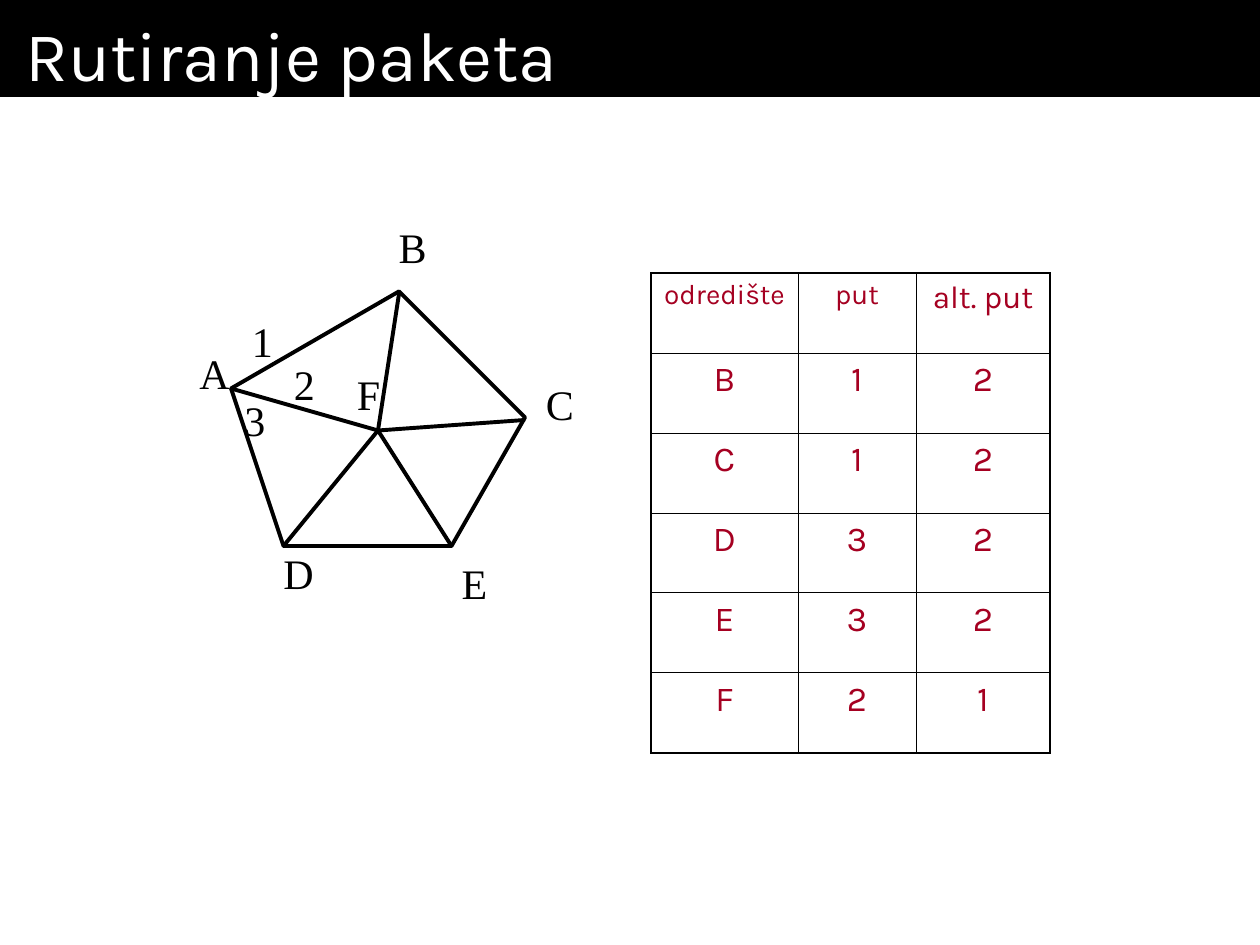
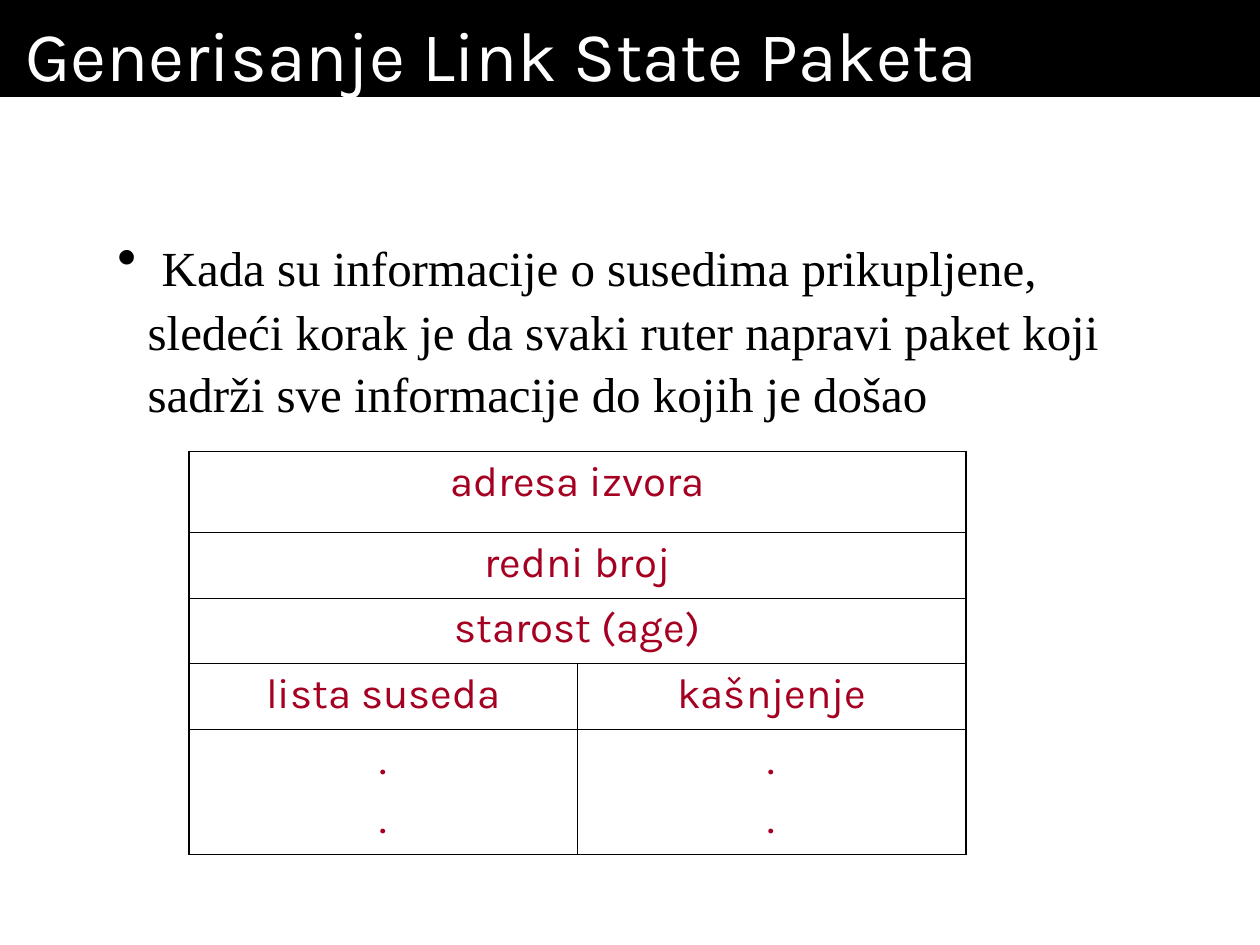
from lxml import etree
from pptx import Presentation
from pptx.dml.color import RGBColor
from pptx.enum.shapes import MSO_CONNECTOR
from pptx.enum.text import MSO_ANCHOR, MSO_AUTO_SIZE, PP_ALIGN
from pptx.oxml.ns import qn
from pptx.util import Inches, Pt

LEFT, CENTER = PP_ALIGN.LEFT, PP_ALIGN.CENTER
TOP, FIXED = MSO_ANCHOR.TOP, MSO_AUTO_SIZE.NONE
STRAIGHT = MSO_CONNECTOR.STRAIGHT

COLORS = {"band": "000000", "title": "FFFFFF", "ink": "000000", "cell": "A50021"}
RGB = {name: RGBColor.from_string(code) for name, code in COLORS.items()}
SANS, SERIF = "Karla", "Times New Roman"
THICK, THIN, EDGE = Pt(1.08), Pt(0.45), Pt(2.25)
UNIT = Inches(1) / 12  # the grid has twelve units to the inch


def write(frame, text, size, face, color, align=LEFT, gap=0):
    """Fill a text frame, one paragraph for each line of text."""
    style = {"name": face, "size": Pt(size), "color": RGB[color]}
    for i, line in enumerate(text.split("\n")):
        par = frame.paragraphs[0] if i == 0 else frame.add_paragraph()
        par.alignment = align
        if i:
            par.space_before = Pt(gap)
        run = par.add_run()
        run.text = line
        for key, val in style.items():
            if key == "color":
                run.font.color.rgb = val
            else:
                setattr(run.font, key, val)


def grid(slide, left, top, cols, rows, data):
    """Add a table with thick outer and thin inner borders."""
    wide, high = len(cols), len(rows)
    box = [round(n * UNIT) for n in (left, top, sum(cols), sum(rows))]
    table = slide.shapes.add_table(high, wide, *box).table
    table.first_row = table.horz_banding = False
    for col, n in zip(table.columns, cols):
        col.width = round(n * UNIT)
    for row, n in zip(table.rows, rows):
        row.height = round(n * UNIT)
    for r, (texts, sizes) in enumerate(data):
        span = wide // len(texts)
        for c, (text, size) in enumerate(zip(texts, sizes)):
            cell = table.cell(r, c)
            if span > 1:
                cell.merge(table.cell(r, c + span - 1))
            write(cell.text_frame, text, size, SANS, "cell", CENTER, gap=6)
            cell.fill.background()
            outer = {"L": c == 0, "R": c + span == wide,
                     "T": r == 0, "B": r == high - 1}
            props = cell._tc.get_or_add_tcPr()
            for i, (side, rim) in enumerate(outer.items()):
                line = etree.Element(qn("a:ln" + side), w=str(THICK if rim else THIN))
                fill = etree.SubElement(line, qn("a:solidFill"))
                etree.SubElement(fill, qn("a:srgbClr"), val=COLORS["ink"])
                props.insert(i, line)


deck = Presentation()
deck.slide_width, deck.slide_height = Inches(10), Inches(7.5)

# Title bands
slides = []
for text in ("Rutiranje paketa", "Generisanje Link State Paketa"):
    slide = deck.slides.add_slide(deck.slide_layouts[5])
    title = slide.shapes.title
    place = {"left": 0, "top": 0, "width": deck.slide_width, "height": Inches(0.77)}
    for key, val in place.items():
        setattr(title, key, val)
    title.fill.solid()
    title.fill.fore_color.rgb = RGB["band"]
    form = {"margin_left": Inches(0.2), "margin_right": Inches(0.2),
            "margin_top": Inches(0.09), "margin_bottom": 0,
            "vertical_anchor": TOP, "auto_size": FIXED, "word_wrap": True}
    for key, val in form.items():
        setattr(title.text_frame, key, val)
    write(title.text_frame, text, 40, SANS, "title")
    slides.append(slide)
route, packet = slides

# Network: outer ring
ring = [(22, 37), (38, 27.75), (50, 39.75), (43, 52), (27, 52)]
path = [(round(x * UNIT), round(y * UNIT)) for x, y in ring]
pen = route.shapes.build_freeform(*path[0])
pen.add_line_segments(path[1:], close=True)
shape = pen.convert_to_shape()
shape.shadow.inherit = False
shape.fill.background()
shape.line.color.rgb = RGB["ink"]
shape.line.width = EDGE

# Network: spokes from the hub
hub = (36, 41)
for tip in ((22, 37), (27, 52), (38, 28), (50, 40), (43, 52)):
    ends = [round(n * UNIT) for n in hub + tip]
    spoke = route.shapes.add_connector(STRAIGHT, *ends)
    spoke.line.color.rgb = RGB["ink"]
    spoke.line.width = EDGE
    etree.SubElement(spoke._element.spPr, qn("a:effectLst"))

# Network: node and port labels
labels = [("A", 17.8, 32.5, 5.3), ("B", 36.8, 20.5, 5), ("C", 50.8, 35.5, 5),
          ("D", 25.8, 51.6, 5.3), ("E", 42.8, 52.5, 4.8), ("F", 32.8, 34.5, 4.6),
          ("1", 22.8, 29.5, 4.3), ("2", 26.8, 33.6, 4.3), ("3", 22.1, 37, 4.3)]
for text, x, y, width in labels:
    box = [round(n * UNIT) for n in (x, y, width, 6)]
    frame = route.shapes.add_textbox(*box).text_frame
    frame.word_wrap = False
    write(frame, text, 24, SERIF, "ink")

# Routing table
hops = [("B", "1", "2"), ("C", "1", "2"), ("D", "3", "2"), ("E", "3", "2"), ("F", "2", "1")]
data = [(("odredište", "put", "alt. put"), (16, 16, 18))]
data += [(hop, (20, 20, 20)) for hop in hops]
grid(route, 62, 26, (14, 11.25, 12.75), [7.62] * 6, data)

# Bullet text
box = [round(n * UNIT) for n in (10, 21, 102.25, 18.85)]
frame = packet.shapes.add_textbox(*box).text_frame
frame.word_wrap = True
par = frame.paragraphs[0]
par.line_spacing = 1.06
props = par._p.get_or_add_pPr()
props.set("marL", str(Inches(0.24)))
props.set("indent", str(-Inches(0.24)))
tint = etree.SubElement(props, qn("a:buClr"))
etree.SubElement(tint, qn("a:srgbClr"), val=COLORS["ink"])
etree.SubElement(props, qn("a:buChar"), char="•")
write(frame, " ", 32, SERIF, "ink")
write(frame, "Kada su informacije o susedima prikupljene, sledeći korak je da svaki "
      "ruter napravi paket koji sadrži sve informacije do kojih je došao",
      28, SERIF, "ink")

# Packet layout
fields = [("adresa izvora",), ("redni broj",), ("starost (age)",),
          ("lista suseda", "kašnjenje"), (".\n.", ".\n.")]
grid(packet, 18, 43, (37, 37), (7.7, 6.25, 6.25, 6.3, 11.9),
     [(field, (24, 24)) for field in fields])

deck.save("out.pptx")
